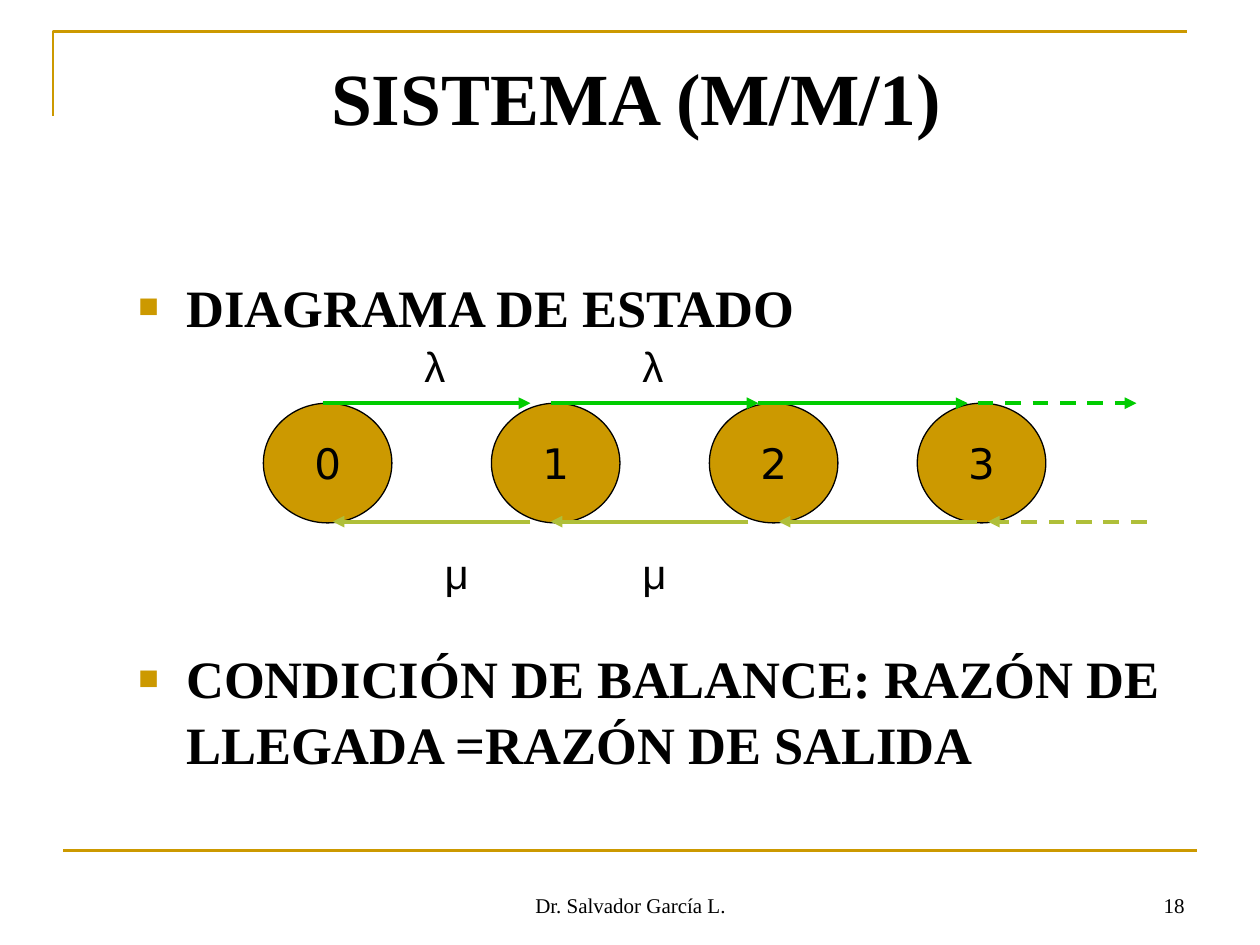
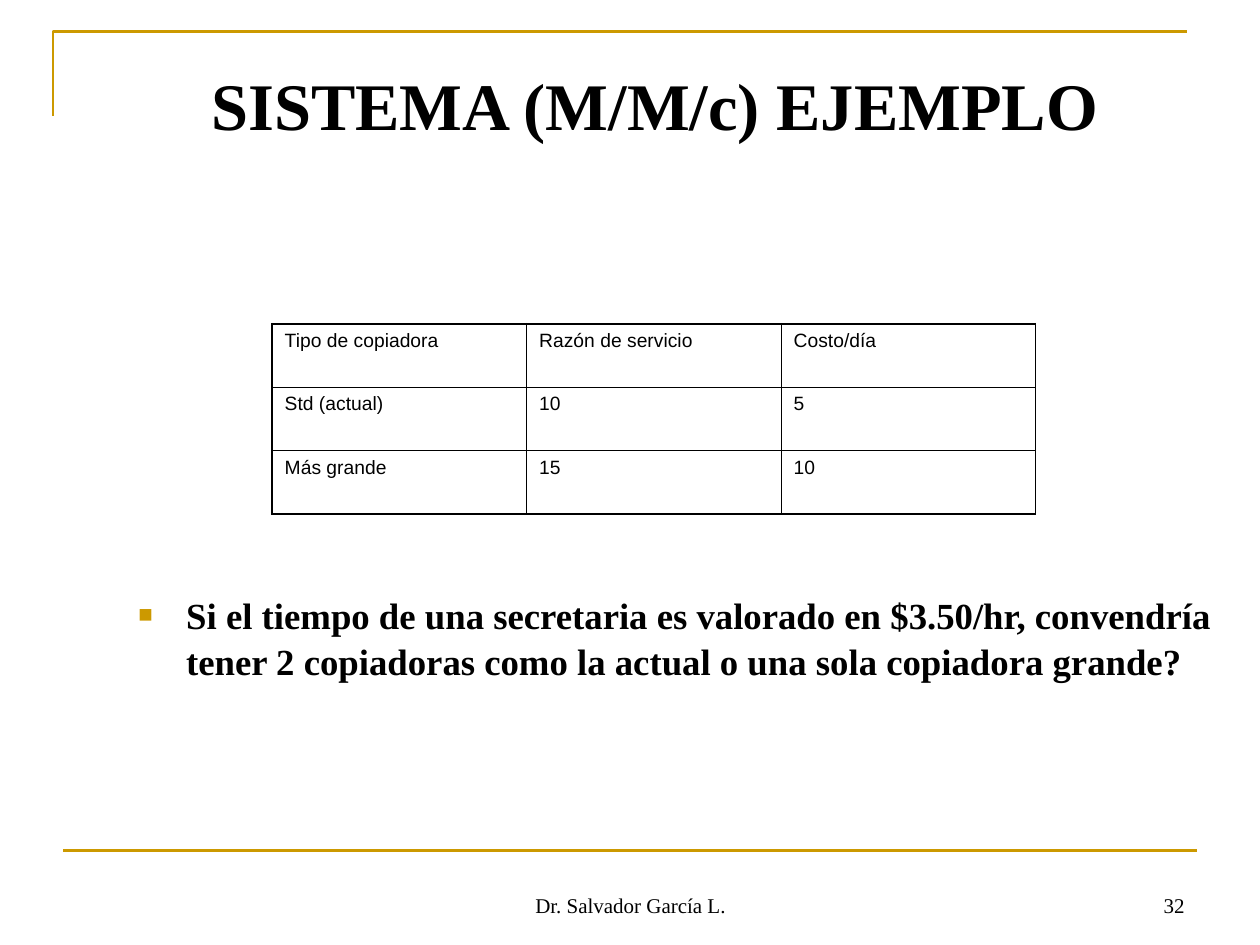
"""Build two slides on queueing systems: a state diagram and a worked example."""
from lxml import etree
from pptx import Presentation
from pptx.dml import color
from pptx.enum import dml, shapes, text
from pptx.oxml import ns
from pptx.util import Inches, Pt

GOLD, BLACK, GREEN, OLIVE = "CC9900", "000000", "00CC00", "AFBF39"
SERIF, SANS, ROUND = "Times New Roman", "Arial", "DejaVu Sans"
LEFT, MID, RIGHT = text.PP_ALIGN.LEFT, text.PP_ALIGN.CENTER, text.PP_ALIGN.RIGHT
TOP, CORE, LOW = text.MSO_ANCHOR.TOP, text.MSO_ANCHOR.MIDDLE, text.MSO_ANCHOR.BOTTOM


def hue(code):
    return color.RGBColor.from_string(code)


def put(frame, words, size=12, face=SERIF, bold=False, align=LEFT,
        anchor=TOP, wrap=True, bullet=False, gap=0):
    frame.word_wrap = wrap
    frame.vertical_anchor = anchor
    for i, line in enumerate(words.split("\n")):
        para = frame.add_paragraph() if i else frame.paragraphs[0]
        para.alignment = align
        if i:
            para.space_before = Pt(gap)
        if bullet:
            para.line_spacing = 1.04
            props = para._p.get_or_add_pPr()
            props.set("marL", str(Inches(0.38)))
            props.set("indent", str(-Inches(0.38)))
            tint = etree.SubElement(props, ns.qn("a:buClr"))
            etree.SubElement(tint, ns.qn("a:srgbClr"), val=GOLD)
            etree.SubElement(props, ns.qn("a:buSzPct"), val="65000")
            etree.SubElement(props, ns.qn("a:buFont"), typeface=SERIF)
            etree.SubElement(props, ns.qn("a:buChar"), char="■")
        run = para.add_run()
        run.text = line
        run.font.size = Pt(size)
        run.font.name = face
        run.font.bold = bold
        run.font.color.rgb = hue(BLACK)


deck = Presentation()
deck.slide_width, deck.slide_height = Inches(10), Inches(7.5)

arrows = []
for start, end in [(2.56, 4.21), (4.37, 6.02), (6.02, 7.68), (7.76, 9.02)]:
    arrows.append((start, end, 3.2, GREEN))
for start, end in [(4.21, 2.64), (5.94, 4.37), (7.75, 6.18), (9.1, 7.84)]:
    arrows.append((start, end, 4.14, OLIVE))

pages = [
    dict(title="SISTEMA (M/M/1)", size=42, box=(2.08, 0.36, 5.94, 0.8), num="18",
         body="DIAGRAMA DE ESTADO\n"
              "CONDICIÓN DE BALANCE: RAZÓN DE LLEGADA =RAZÓN DE SALIDA",
         large=30, top=2.11,
         states=[2.09, 3.9, 5.63, 7.28], arrows=arrows,
         rates=[("λ", 3.27, 2.65), ("μ", 3.43, 4.3), ("λ", 5, 2.65), ("μ", 5, 4.3)],
         rows=[]),
    dict(title="SISTEMA (M/M/c) EJEMPLO", size=38, box=(0.97, 0.45, 8.46, 0.74), num="32",
         body="Si el tiempo de una secretaria es valorado en $3.50/hr, convendría "
              "tener 2 copiadoras como la actual o una sola copiadora grande?",
         large=21, top=4.64,
         states=[], arrows=[], rates=[],
         rows=[("Tipo de copiadora", "Razón de servicio", "Costo/día"),
               ("Std (actual)", "10", "5"),
               ("Más grande", "15", "10")]),
]

for page in pages:
    slide = deck.slides.add_slide(deck.slide_layouts[6])
    items = slide.shapes

    path = items.build_freeform(Inches(0.42), Inches(0.92))
    path.add_line_segments([(Inches(0.42), Inches(0.25)),
                            (Inches(9.42), Inches(0.25))], close=False)
    edge = path.convert_to_shape()
    edge.shadow.inherit = False
    edge.fill.background()
    edge.line.color.rgb = hue(GOLD)
    edge.line.width = Pt(1.5)

    for i, left in enumerate(page["states"]):
        state = items.add_shape(shapes.MSO_SHAPE.OVAL, Inches(left), Inches(3.2),
                                Inches(1.02), Inches(0.95))
        state.shadow.inherit = False
        state.fill.solid()
        state.fill.fore_color.rgb = hue(GOLD)
        state.line.color.rgb = hue(BLACK)
        state.line.width = Pt(0.75)
        put(state.text_frame, str(i), size=24, face=ROUND, align=MID,
            anchor=CORE, wrap=False)

    for start, end, y, tint in [(0.5, 9.5, 6.75, GOLD)] + page["arrows"]:
        link = items.add_connector(shapes.MSO_CONNECTOR.STRAIGHT, Inches(start),
                                   Inches(y), Inches(end), Inches(y))
        link.line.color.rgb = hue(tint)
        link.line.width = Pt(1.5 if tint == GOLD else 2.25)
        if tint != GOLD:
            if max(start, end) > 9:
                link.line.dash_style = dml.MSO_LINE.DASH
            pen = link._element.spPr.find(ns.qn("a:ln"))
            etree.SubElement(pen, ns.qn("a:tailEnd"), type="triangle")
        etree.SubElement(link._element.spPr, ns.qn("a:effectLst"))

    notes = [
        ("Dr. Salvador García L.", (3.42, 6.83, 3.17, 0.5), dict(align=MID, anchor=LOW)),
        (page["num"], (7.17, 6.83, 2.33, 0.5), dict(align=RIGHT, anchor=LOW)),
        (page["title"], page["box"],
         dict(size=page["size"], bold=True, align=MID, anchor=LOW)),
        (page["body"], (1, page["top"], 8.87, 6.66 - page["top"]),
         dict(size=page["large"], bold=True, bullet=True, gap=175)),
    ]
    for sign, left, top in page["rates"]:
        notes.append((sign, (left, top, 0.37, 0.5), dict(size=24, face=SANS)))
    for words, box, style in notes:
        put(items.add_textbox(*map(Inches, box)).text_frame, words, **style)

    if page["rows"]:
        count = len(page["rows"])
        grid = items.add_table(count, 3, Inches(2.16), Inches(2.57),
                               Inches(6.06), Inches(1.51)).table
        grid.first_row = grid.horz_banding = False
        for r, row in enumerate(page["rows"]):
            for c, words in enumerate(row):
                cell = grid.cell(r, c)
                put(cell.text_frame, words, size=11, face=SANS)
                props = cell._tc.get_or_add_tcPr()
                sides = dict(lnL=c == 0, lnR=c == 2, lnT=r == 0, lnB=r == count - 1)
                for side, outer in sides.items():
                    pen = etree.SubElement(props, ns.qn("a:" + side),
                                           w=str(Pt(1.08 if outer else 0.45)))
                    ink = etree.SubElement(pen, ns.qn("a:solidFill"))
                    etree.SubElement(ink, ns.qn("a:srgbClr"), val=BLACK)
                cell.fill.background()

deck.save("out.pptx")
